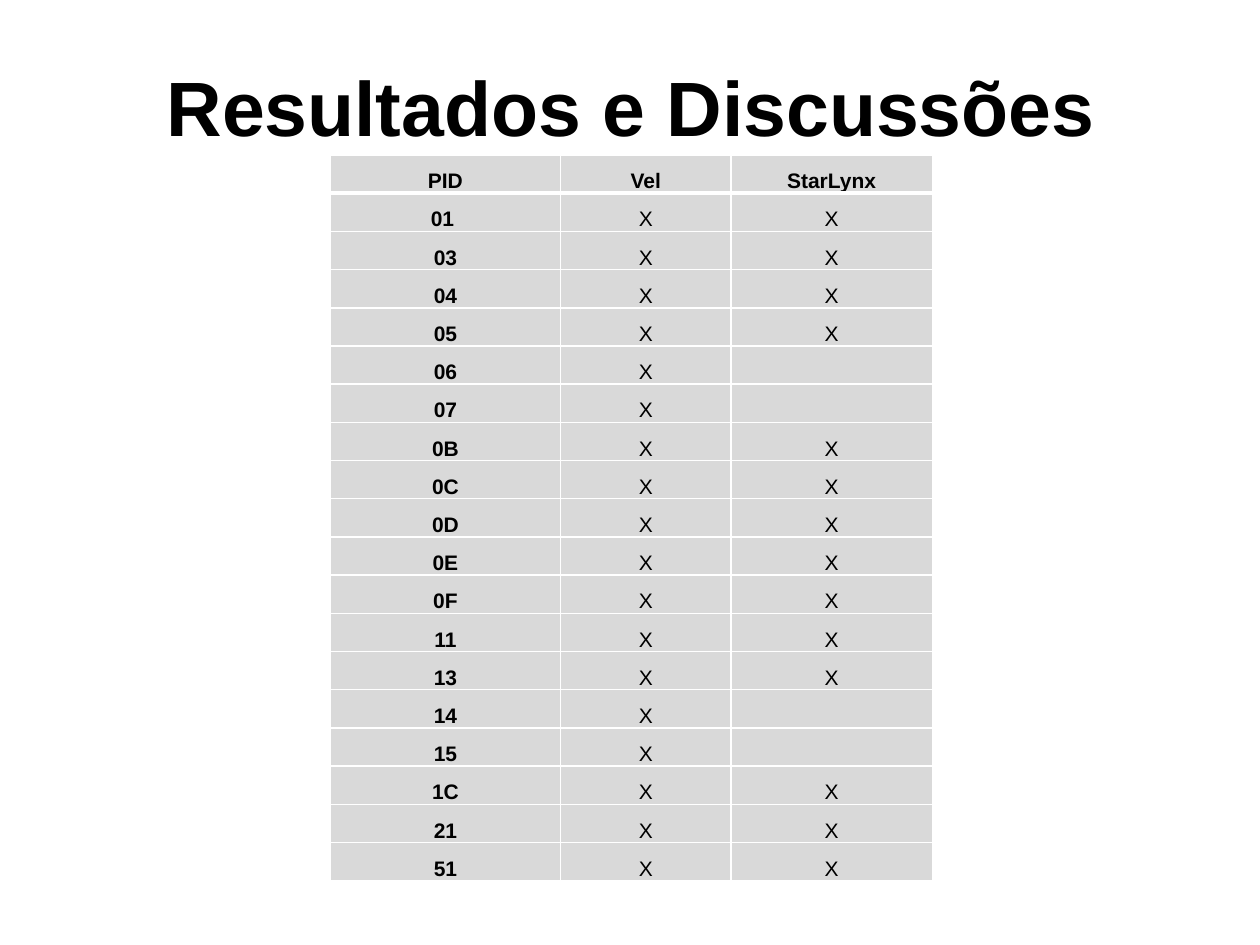
from dataclasses import dataclass

import pptx
import pptx.dml.color
import pptx.enum.text
import pptx.oxml
import pptx.oxml.ns
import pptx.util
from pptx.util import Inches


@dataclass(frozen=True)
class Theme:
    font: str = "Arial"
    text: str = "000000"
    cell: str = "D9D9D9"
    border: str = "FFFFFF"
    title_size: int = 44
    table_size: int = 12
    thin: int = 1
    thick: int = 3


THEME = Theme()

HEADERS = ["PID", "Vel", "StarLynx"]
PIDS = ["01 ", "03", "04", "05", "06", "07", "0B", "0C", "0D",
        "0E", "0F", "11", "13", "14", "15", "1C", "21", "51"]
ONLY_FIRST_CAR = {"06", "07", "14", "15"}
COL_WIDTHS = [1.83, 1.35, 1.6]


def rgb(value):
    return pptx.dml.color.RGBColor.from_string(value)


def write(tf, text, size, bold):
    """Fill a text frame with one centred, formatted run."""
    p = tf.paragraphs[0]
    p.alignment = pptx.enum.text.PP_ALIGN.CENTER
    r = p.add_run()
    r.text = text
    r.font.name = THEME.font
    r.font.size = pptx.util.Pt(size)
    r.font.bold = bold
    r.font.color.rgb = rgb(THEME.text)


def set_borders(cell, bottom, top):
    tcPr = cell._tc.get_or_add_tcPr()
    widths = {"L": THEME.thin, "R": THEME.thin, "T": top, "B": bottom}
    for side, width in widths.items():
        tcPr.append(pptx.oxml.parse_xml(
            f'<a:ln{side} {pptx.oxml.ns.nsdecls("a")} w="{pptx.util.Pt(width)}">'
            f'<a:solidFill><a:srgbClr val="{THEME.border}"/></a:solidFill>'
            f'</a:ln{side}>'))


def add_title(s, left, top, width, height):
    tf = s.shapes.add_textbox(left, top, width, height).text_frame
    tf.word_wrap = True
    tf.vertical_anchor = pptx.enum.text.MSO_ANCHOR.MIDDLE
    write(tf, "Resultados e Discussões", THEME.title_size, True)


def add_pid_table(s, left, top, width, height):
    rows = [HEADERS] + [[pid, "X", "" if pid in ONLY_FIRST_CAR else "X"]
                        for pid in PIDS]
    table = s.shapes.add_table(len(rows), len(HEADERS), left, top,
                               width, height).table
    table.first_row = table.horz_banding = False
    for col, share in zip(table.columns, COL_WIDTHS):
        col.width = int(width * share / sum(COL_WIDTHS))

    for i, row in enumerate(rows):
        table.rows[i].height = height // len(rows)
        for j, text in enumerate(row):
            cell = table.cell(i, j)
            cell.margin_left = cell.margin_right = Inches(0.05)
            cell.margin_top = cell.margin_bottom = 0
            cell.vertical_anchor = pptx.enum.text.MSO_ANCHOR.BOTTOM
            # The rule under the header is heavier than the others
            set_borders(cell,
                        bottom=THEME.thick if i == 0 else THEME.thin,
                        top=THEME.thick if i == 1 else THEME.thin)
            cell.fill.solid()
            cell.fill.fore_color.rgb = rgb(THEME.cell)
            write(cell.text_frame, text, THEME.table_size, i == 0 or j == 0)


def main():
    prs = pptx.Presentation()
    prs.slide_width, prs.slide_height = Inches(10), Inches(7.5)
    s = prs.slides.add_slide(prs.slide_layouts[6])

    # Heading
    add_title(s, Inches(0.51), Inches(0.21), Inches(9), Inches(1.25))
    # PIDs supported by each car
    add_pid_table(s, Inches(2.62), Inches(1.23), Inches(4.78), Inches(5.76))

    prs.save("out.pptx")


if __name__ == "__main__":
    main()
